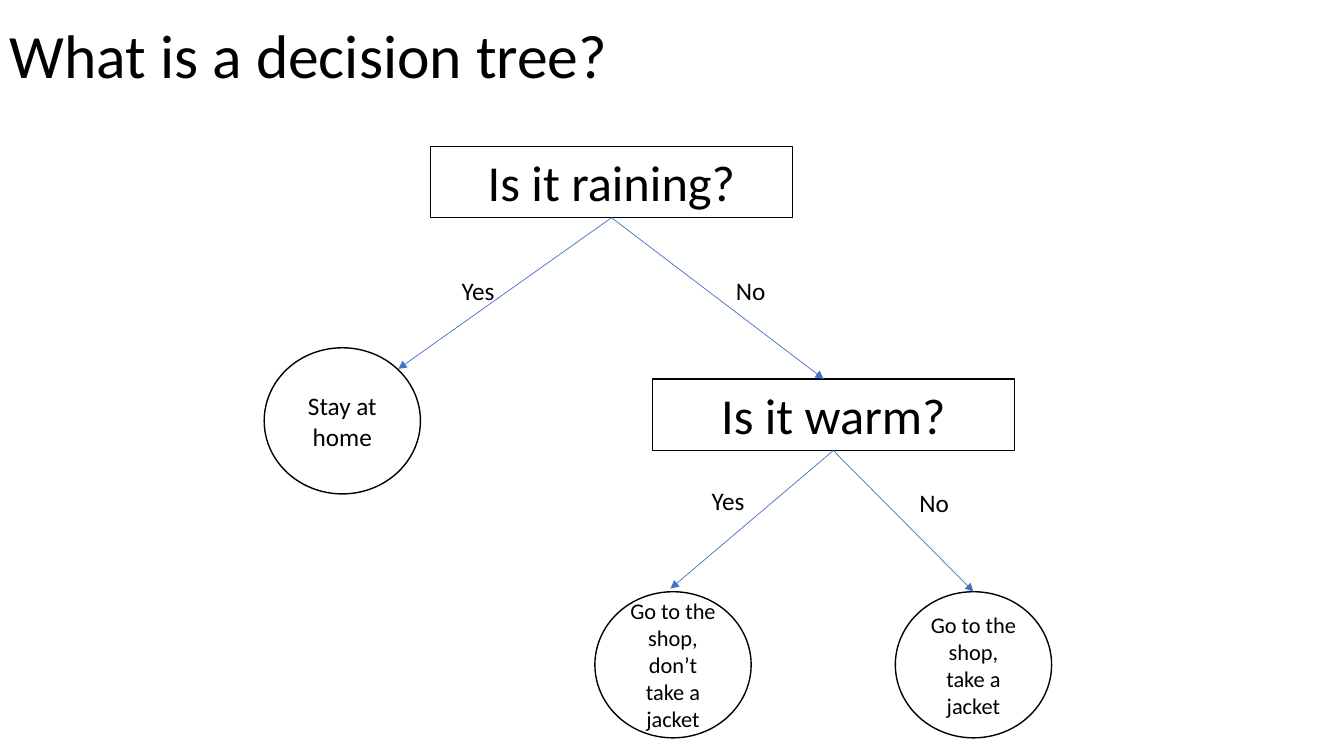
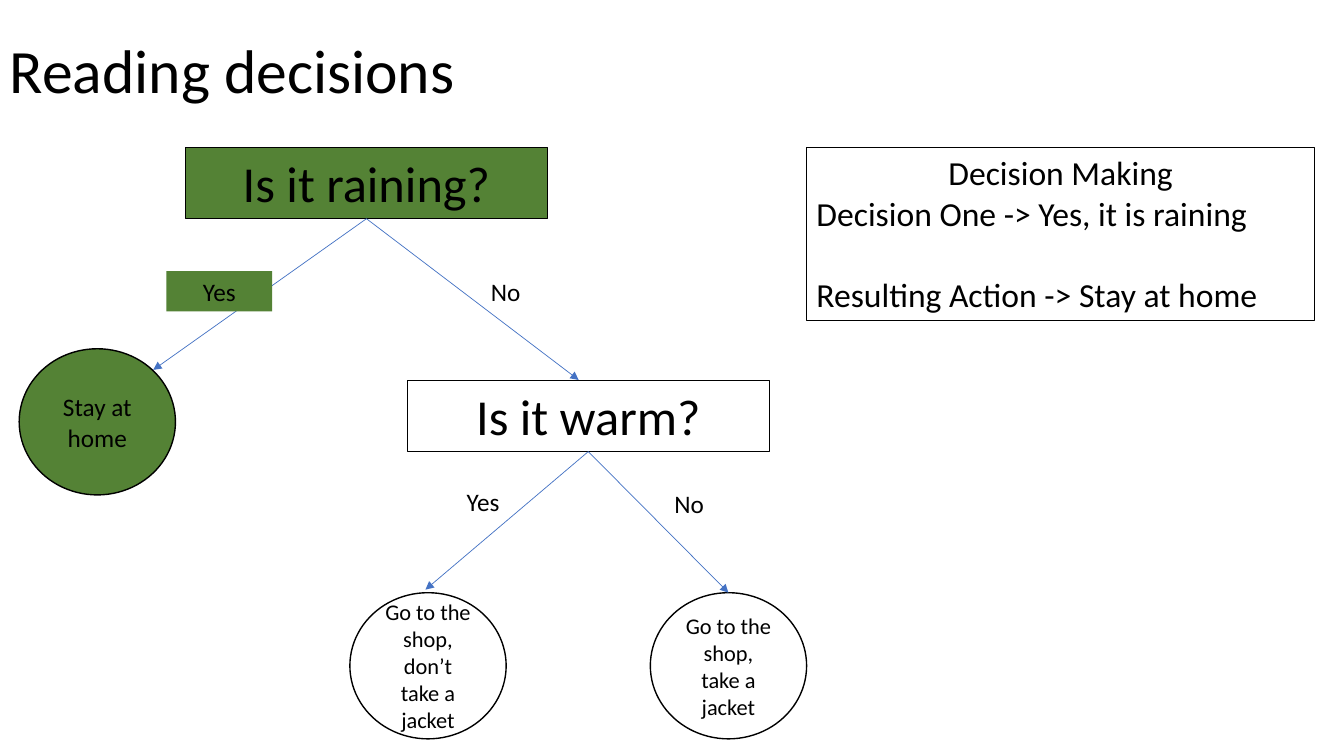
from typing import NamedTuple, Optional

from lxml import etree
from pptx import Presentation
from pptx.dml.color import RGBColor
from pptx.enum.shapes import MSO_CONNECTOR, MSO_SHAPE
from pptx.enum.text import MSO_ANCHOR, PP_ALIGN
from pptx.oxml.ns import qn
from pptx.util import Inches, Pt

RECT, OVAL = MSO_SHAPE.RECTANGLE, MSO_SHAPE.OVAL
LINE = MSO_CONNECTOR.STRAIGHT
TOP, MIDDLE = MSO_ANCHOR.TOP, MSO_ANCHOR.MIDDLE
LEFT, CENTER = PP_ALIGN.LEFT, PP_ALIGN.CENTER

FONT = "Calibri"
BLACK, BLUE, GREEN = "000000", "4472C4", "548235"
BOX_W, BOX_H = 3.59, 0.71
LEAF_W, LEAF_H = 1.55, 1.45
TAG_W, TAG_H = 1.05, 0.4


class Node(NamedTuple):
    key: str
    x: float
    y: float
    text: str
    size: int = 36
    leaf: bool = False


class Branch(NamedTuple):
    start: str
    x: float
    y: float
    end: Optional[str] = None  # node joined at its top


class Tag(NamedTuple):
    key: str
    x: float
    y: float
    text: str


# The tree, as placed on the first slide
NODES = [
    Node("rain", 4.27, 1.45, "Is it raining?"),
    Node("warm", 6.47, 3.76, "Is it warm?"),
    Node("home", 2.62, 3.45, "Stay at home", 18, True),
    Node("coat", 8.88, 5.87, "Go to the shop, take a jacket", 16, True),
    Node("bare", 5.9, 5.87, "Go to the shop, don’t take a jacket", 16, True),
]
BRANCHES = [
    Branch("rain", 3.95, 3.66),
    Branch("rain", 8.17, 3.76),
    Branch("warm", 6.65, 5.84),
    Branch("warm", 9.66, 5.87, "coat"),
]
TAGS = [
    Tag("wet", 4.48, 2.68, "Yes"),
    Tag("dry", 7.2, 2.68, "No"),
    Tag("hot", 6.96, 4.77, "Yes"),
    Tag("cold", 9.02, 4.79, "No"),
]


def color(code: str) -> RGBColor:
    return RGBColor.from_string(code)


def write(shape, lines: list[str], size: int, align=LEFT, anchor=TOP) -> None:
    frame = shape.text_frame
    frame.word_wrap = True
    frame.vertical_anchor = anchor
    for i, line in enumerate(lines):
        para = frame.paragraphs[0] if i == 0 else frame.add_paragraph()
        para.text = line
        para.alignment = align
        para.font.name = FONT
        para.font.size = Pt(size)
        para.font.color.rgb = color(BLACK)


def add_box(slide, kind, x: float, y: float, w: float, h: float,
            fill: Optional[str] = None, width: float = 0):
    shape = slide.shapes.add_shape(kind, Inches(x), Inches(y), Inches(w), Inches(h))
    shape.shadow.inherit = False
    if fill:
        shape.fill.solid()
        shape.fill.fore_color.rgb = color(fill)
    else:
        shape.fill.background()
    if width:
        shape.line.color.rgb = color(BLACK)
        shape.line.width = Pt(width)
    else:
        shape.line.fill.background()
    return shape


def add_text(slide, x: float, y: float, w: float, h: float):
    return slide.shapes.add_textbox(Inches(x), Inches(y), Inches(w), Inches(h))


def add_title(slide, text: str, w: float, h: float) -> None:
    title = add_text(slide, 0, 0, w, h)
    write(title, [text], 44, anchor=MIDDLE)
    title.text_frame.paragraphs[0].line_spacing = 0.9


def add_arrow(slide, start, x: float, y: float, end=None) -> None:
    line = slide.shapes.add_connector(LINE, 0, 0, Inches(x), Inches(y))
    line.begin_connect(start, 2)
    if end is not None:
        line.end_connect(end, 0)
    line.line.color.rgb = color(BLUE)
    line.line.width = Pt(0.5)
    props = line.line._get_or_add_ln()
    etree.SubElement(props, qn("a:tailEnd"), type="triangle")
    etree.SubElement(line._element.spPr, qn("a:effectLst"))


def add_tree(slide, dx: float = 0, dy: float = 0, marked: tuple[str, ...] = ()) -> None:
    shapes = {}
    for node in NODES:
        kind, w, h, width = (OVAL, LEAF_W, LEAF_H, 1) if node.leaf else (RECT, BOX_W, BOX_H, 0.75)
        fill = GREEN if node.key in marked else None
        shape = add_box(slide, kind, node.x + dx, node.y + dy, w, h, fill, width)
        write(shape, [node.text], node.size, CENTER, MIDDLE if node.leaf else TOP)
        shapes[node.key] = shape
    for branch in BRANCHES:
        add_arrow(slide, shapes[branch.start], branch.x + dx, branch.y + dy,
                  shapes.get(branch.end))
    for tag in TAGS:
        x, y = tag.x + dx, tag.y + dy
        if tag.key in marked:  # a filled tag sits further left
            shape = add_box(slide, RECT, x - 0.4, y, TAG_W, TAG_H, GREEN)
            write(shape, [tag.text], 18, CENTER)
        else:
            write(add_text(slide, x, y, TAG_W, TAG_H), [tag.text], 18)


def add_note(slide) -> None:
    note = add_box(slide, RECT, 8, 1.46, 5.04, 1.72, width=0.75)
    write(note, ["Decision Making", "Decision One -> Yes, it is raining",
                 "Resulting Action -> Stay at home"], 24)
    head, _, result = note.text_frame.paragraphs
    head.alignment = CENTER
    result.space_before = Pt(29.3)  # one line of text


def main() -> None:
    deck = Presentation()
    deck.slide_width, deck.slide_height = Inches(13.33), Inches(7.5)
    blank = deck.slide_layouts[6]

    # What a tree is
    slide = deck.slides.add_slide(blank)
    add_title(slide, "What is a decision tree?", 13.33, 1.17)
    add_tree(slide)

    # One path through it
    slide = deck.slides.add_slide(blank)
    add_title(slide, "Reading decisions", 11.5, 1.45)
    add_tree(slide, -2.43, 0.01, ("rain", "wet", "home"))
    add_note(slide)

    deck.save("out.pptx")


if __name__ == "__main__":
    main()
